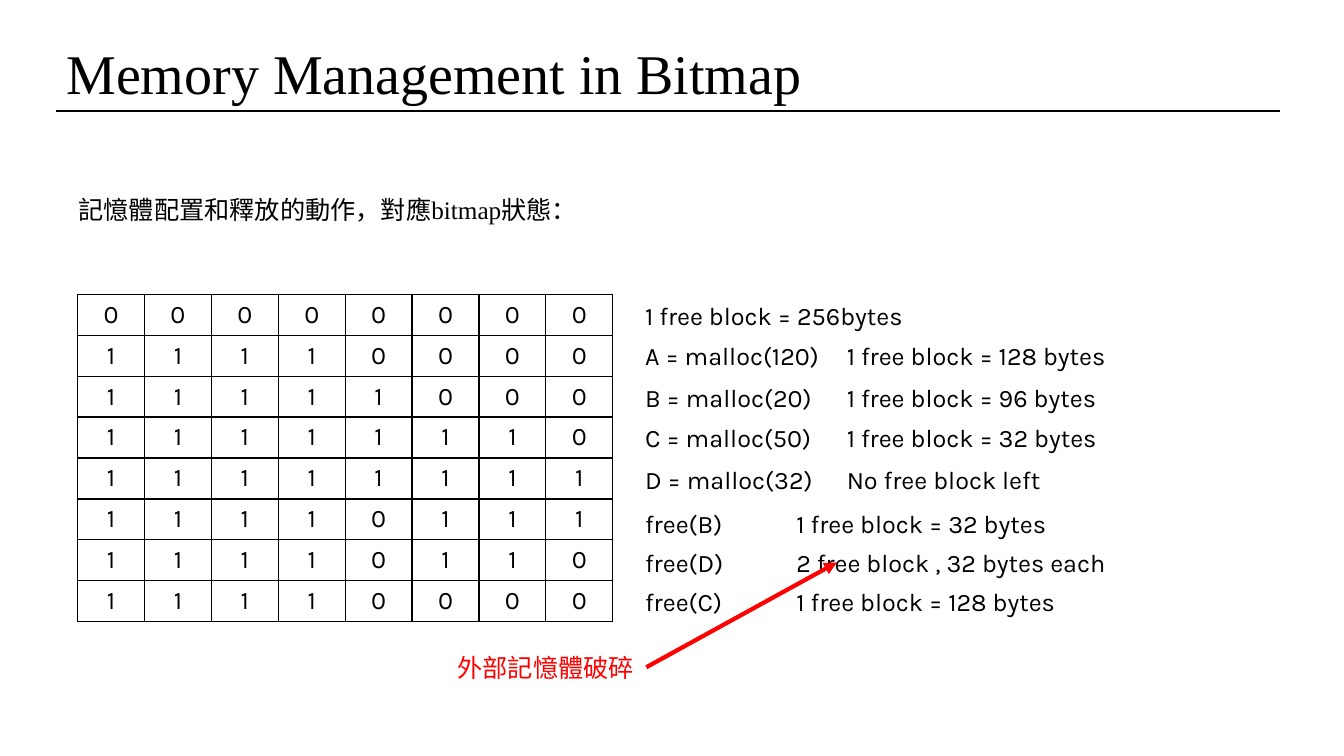
from lxml.etree import SubElement
from pptx import Presentation
from pptx.dml.color import RGBColor
from pptx.enum.shapes import MSO_CONNECTOR as Connector
from pptx.enum.text import MSO_ANCHOR as Anchor, MSO_AUTO_SIZE as AutoSize, PP_ALIGN as Align
from pptx.oxml.ns import qn
from pptx.util import Pt

COLORS = {"ink": "000000", "alert": "FF0000"}
SERIF, SANS, CJK = "Times New Roman", "Karla", "Noto Sans CJK SC"

BITMAP = [
    "00000000",
    "11110000",
    "11111000",
    "11111110",
    "11111111",
    "11110111",
    "11110110",
    "11110000",
]
STEPS = [
    (293, "1 free block = 256bytes"),
    (333, "A = malloc(120)\t1 free block = 128 bytes"),
    (374, "B = malloc(20)\t1 free block = 96 bytes"),
    (414, "C = malloc(50)\t1 free block = 32 bytes"),
    (456, "D = malloc(32)\tNo free block left"),
    (499, "free(B)\t\t1 free block = 32 bytes"),
    (538, "free(D)\t\t2 free block , 32 bytes each"),
    (577, "free(C)\t\t1 free block = 128 bytes"),
]


def px(length):
    return length * 9144


def write(frame, text, font=SANS, size=18, color="ink", align=Align.LEFT):
    paragraph = frame.paragraphs[0]
    paragraph.alignment = align
    run = paragraph.add_run()
    run.text = text
    run.font.name = font
    run.font.size = Pt(size)
    run.font.color.rgb = RGBColor.from_string(COLORS[color])
    SubElement(run.font._element, qn("a:ea"), typeface=CJK)


class SlideBuilder:
    def __init__(self, slide):
        self.shapes = slide.shapes

    def text(self, left, top, width, height, words, **style):
        box = self.shapes.add_textbox(px(left), px(top), px(width), px(height))
        box.text_frame.word_wrap = True
        box.text_frame.auto_size = AutoSize.SHAPE_TO_FIT_TEXT
        write(box.text_frame, words, **style)
        return box

    def line(self, start, end, color="ink", weight=1.5, arrow=False):
        connector = self.shapes.add_connector(
            Connector.STRAIGHT, *map(px, start), *map(px, end))
        connector.line.color.rgb = RGBColor.from_string(COLORS[color])
        connector.line.width = Pt(weight)
        if arrow:
            SubElement(connector.line._get_or_add_ln(), qn("a:tailEnd"), type="triangle")
        SubElement(connector._element.spPr, qn("a:effectLst"))
        return connector

    def table(self, left, top, width, height, rows):
        grid = self.shapes.add_table(
            len(rows), len(rows[0]), px(left), px(top), px(width), px(height)).table
        grid.first_row = grid.horz_banding = False
        for row, values in zip(grid.rows, rows):
            for cell, value in zip(row.cells, values):
                write(cell.text_frame, value, align=Align.CENTER)
                cell.vertical_anchor = Anchor.MIDDLE
                self.border(cell)
                cell.fill.background()

    def border(self, cell, color="ink", weight=1):
        properties = cell._tc.get_or_add_tcPr()
        for side in ("lnL", "lnR", "lnT", "lnB"):
            edge = SubElement(properties, qn(f"a:{side}"), w=str(Pt(weight)))
            fill = SubElement(edge, qn("a:solidFill"))
            SubElement(fill, qn("a:srgbClr"), val=COLORS[color])


def main():
    deck = Presentation()
    deck.slide_width, deck.slide_height = px(1333), px(750)
    page = SlideBuilder(deck.slides.add_slide(deck.slide_layouts[6]))

    page.line((56, 110), (1270, 110))
    page.text(56, 33, 775, 77, "Memory Management in Bitmap", font=SERIF, size=40)
    page.text(68, 188, 871, 40, "記憶體配置和釋放的動作，對應bitmap狀態：", font=SERIF)
    page.table(77, 292, 531, 325, BITMAP)
    for top, step in STEPS:
        page.text(630, top, 558, 40, step)

    fragmentation = page.text(444, 642, 197, 40, "外部記憶體破碎", font=CJK, color="alert")
    pointer = page.line((641, 662), (830, 558), color="alert", weight=3, arrow=True)
    pointer.begin_connect(fragmentation, 3)

    deck.save("out.pptx")


if __name__ == "__main__":
    main()
